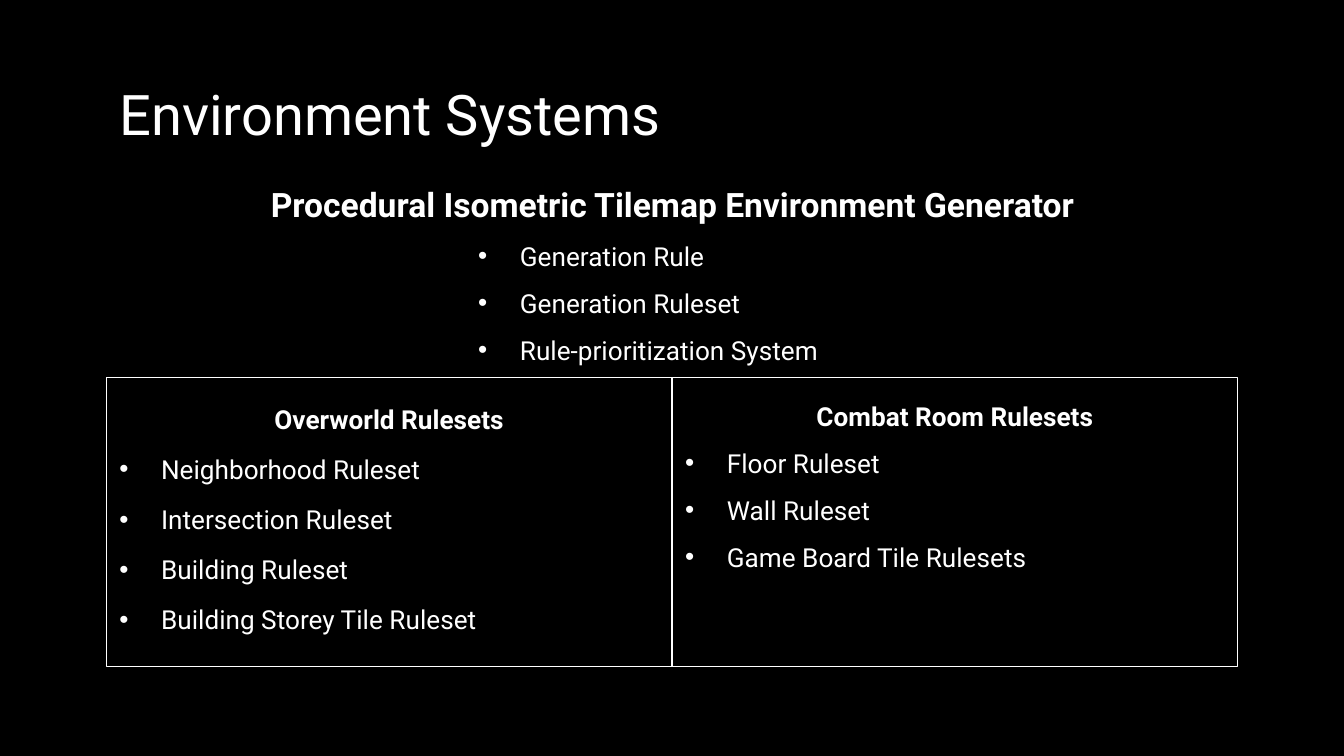
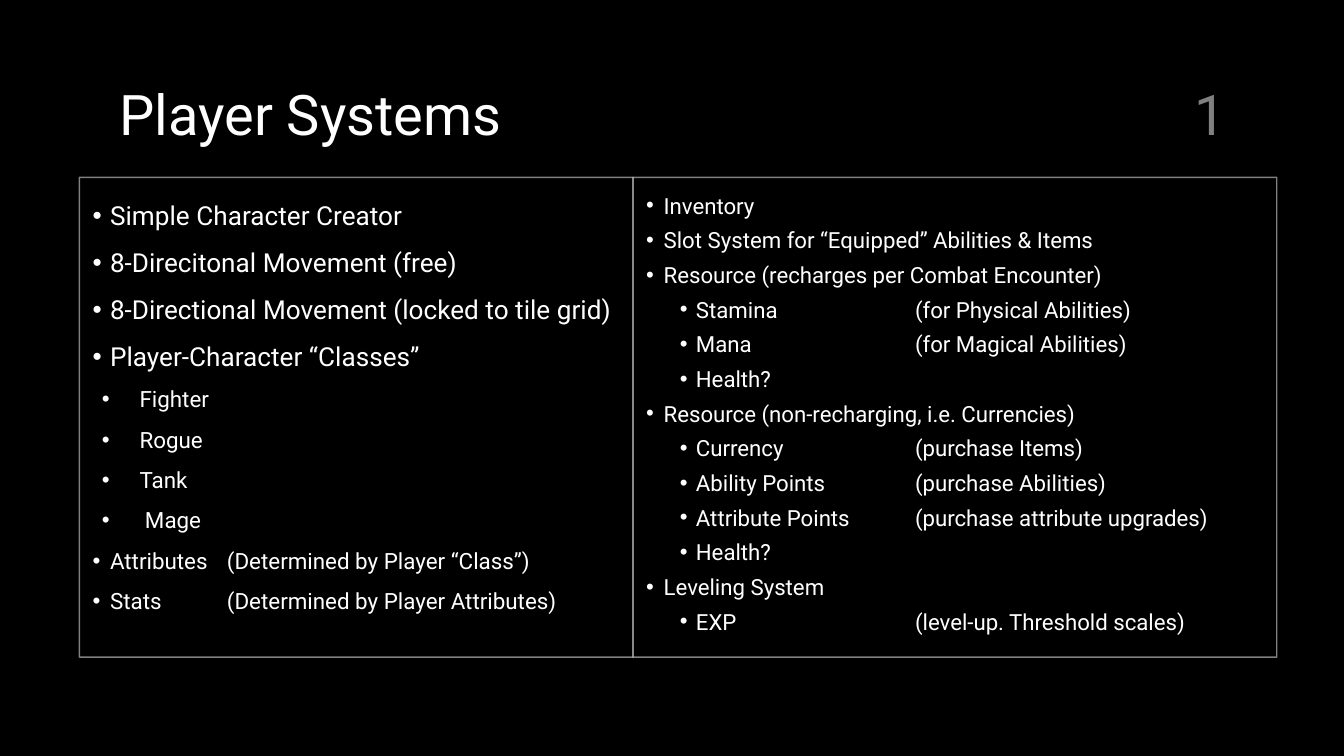
from lxml import etree
from pptx import Presentation
from pptx.dml.color import RGBColor
from pptx.enum import shapes, text
from pptx.oxml import ns
from pptx.util import Inches, Pt

HUES = {"back": "000000", "ink": "FFFFFF", "dim": "808080"}
FACE = "Roboto"
LEFT = text.PP_ALIGN.LEFT
MID = text.PP_ALIGN.CENTER
RIGHT = text.PP_ALIGN.RIGHT
EDGE = 0.79
WIDE = 8.43
WIDE_DOT = (0.31, 0.31)
TIGHT_DOT = (0.13, 0.13)
SUB_DOT = (0.37, 0.12)
CLASS_DOT = (0.35, 0.28)
MAGE_DOT = (0.39, 0.32)


def hue(name):
    return RGBColor.from_string(HUES[name])


def add_node(parent, tag, **attrs):
    return etree.SubElement(parent, ns.qn(tag), attrs)


def add_dot(para, dot):
    margin, hang = dot
    props = para._p.get_or_add_pPr()
    props.set("marL", str(Inches(margin)))
    props.set("indent", str(-Inches(hang)))
    add_node(add_node(props, "a:buClr"), "a:srgbClr", val=HUES["ink"])
    add_node(props, "a:buFont", typeface="Arial")
    add_node(props, "a:buChar", char="•")


def add_tabs(para):
    stops = add_node(para._p.get_or_add_pPr(), "a:tabLst")
    for stop in (1, 2):
        add_node(stops, "a:tab", pos=str(Inches(stop)), algn="l")


def add_line(frame, words, size, dot=None, align=LEFT, bold=False, gap=None, color="ink"):
    first = frame.paragraphs[0]
    para = frame.add_paragraph() if first.runs else first
    para.add_run().text = words
    para.alignment = align
    if gap:
        para.line_spacing = gap
    if dot:
        add_dot(para, dot)
    if "\t" in words:
        add_tabs(para)
    font = para.font
    font.name, font.size, font.bold = FACE, Pt(size), bold
    font.color.rgb = hue(color)


def set_frame(shape, inset=0.05):
    frame = shape.text_frame
    frame.word_wrap = True
    frame.vertical_anchor = text.MSO_ANCHOR.TOP
    frame.margin_left = frame.margin_right = Inches(0.1)
    frame.margin_top = frame.margin_bottom = Inches(inset)
    return frame


def add_text(slide, area, inset=0.05):
    return set_frame(slide.shapes.add_textbox(*map(Inches, area)), inset)


def add_panel(slide, area, alpha=None):
    panel = slide.shapes.add_shape(shapes.MSO_SHAPE.RECTANGLE, *map(Inches, area))
    panel.shadow.inherit = False
    panel.fill.background()
    panel.line.width = Pt(0.75)
    panel.line.color.rgb = hue("ink")
    if alpha:
        color = panel.line._ln.find(".//" + ns.qn("a:srgbClr"))
        add_node(color, "a:alpha", val=str(alpha * 1000))
    return set_frame(panel)


def add_list(frame, items, size, dot, gap=1.5):
    for item in items:
        add_line(frame, item, size, dot, gap=gap)


def add_head(slide, words, width, left=EDGE, align=LEFT, color="ink"):
    frame = add_text(slide, (left, 0.49, width, 0.63), 0.1)
    add_line(frame, words, 30, align=align, color=color)


def add_slide(deck, title, width):
    slide = deck.slides.add_slide(deck.slide_layouts[6])
    fill = slide.background.fill
    fill.solid()
    fill.fore_color.rgb = hue("back")
    add_head(slide, title, width)
    return slide


def show_world(deck):
    slide = add_slide(deck, "Environment Systems", WIDE)
    frame = add_text(slide, (EDGE, 1.32, WIDE, 0.4))
    add_line(frame, "Procedural Isometric Tilemap Environment Generator", 18, align=MID, bold=True)
    rules = [
        ("Overworld Rulesets", 1.6, ["Neighborhood Ruleset", "Intersection Ruleset",
                                     "Building Ruleset", "Building Storey Tile Ruleset"]),
        ("Combat Room Rulesets", 1.5, ["Floor Ruleset", "Wall Ruleset",
                                       "Game Board Tile Rulesets"]),
    ]
    width = 4.21
    for col, (head, gap, items) in enumerate(rules):
        frame = add_panel(slide, (EDGE + col * width, 2.81, width, 2.15))
        add_line(frame, head, 14, align=MID, bold=True, gap=gap)
        add_list(frame, items, 14, WIDE_DOT, gap)
    frame = add_text(slide, (3.46, 1.62, 3.08, 1.13))
    add_list(frame, ["Generation Rule", "Generation Ruleset", "Rule-prioritization System"],
             14, WIDE_DOT)


def show_player(deck):
    slide = add_slide(deck, "Player Systems", 4.21)

    frame = add_panel(slide, (0.59, 1.32, 4.12, 3.57), 50)
    add_list(frame, ["Simple Character Creator", "8-Direcitonal Movement (free)",
                     "8-Directional Movement (locked to tile grid)",
                     "Player-Character “Classes”"], 14, TIGHT_DOT)
    add_list(frame, ["Fighter", "Rogue", "Tank"], 12, CLASS_DOT)
    add_list(frame, ["Mage"], 12, MAGE_DOT)
    add_list(frame, ["Attributes\t(Determined by Player “Class”)",
                     "Stats\t(Determined by Player Attributes)"], 12, TIGHT_DOT)

    add_head(slide, "1", 0.58, 8.64, RIGHT, "dim")

    frame = add_panel(slide, (4.71, 1.32, 4.79, 3.57), 50)
    groups = [
        ("Inventory", []),
        ("Slot System for “Equipped” Abilities & Items", []),
        ("Resource (recharges per Combat Encounter)", [
            "Stamina\t\t(for Physical Abilities)",
            "Mana\t\t(for Magical Abilities)",
            "Health?"]),
        ("Resource (non-recharging, i.e. Currencies)", [
            "Currency\t(purchase Items)",
            "Ability Points\t(purchase Abilities)",
            "Attribute Points\t(purchase attribute upgrades)",
            "Health?"]),
        ("Leveling System", ["EXP\t\t(level-up. Threshold scales)"]),
    ]
    for head, items in groups:
        add_list(frame, [head], 11.9, TIGHT_DOT, 1.3)
        add_list(frame, items, 11.9, SUB_DOT, 1.3)


def main():
    deck = Presentation()
    deck.slide_width, deck.slide_height = Inches(10), Inches(45 / 8)
    show_world(deck)
    show_player(deck)
    deck.save("out.pptx")


if __name__ == "__main__":
    main()
